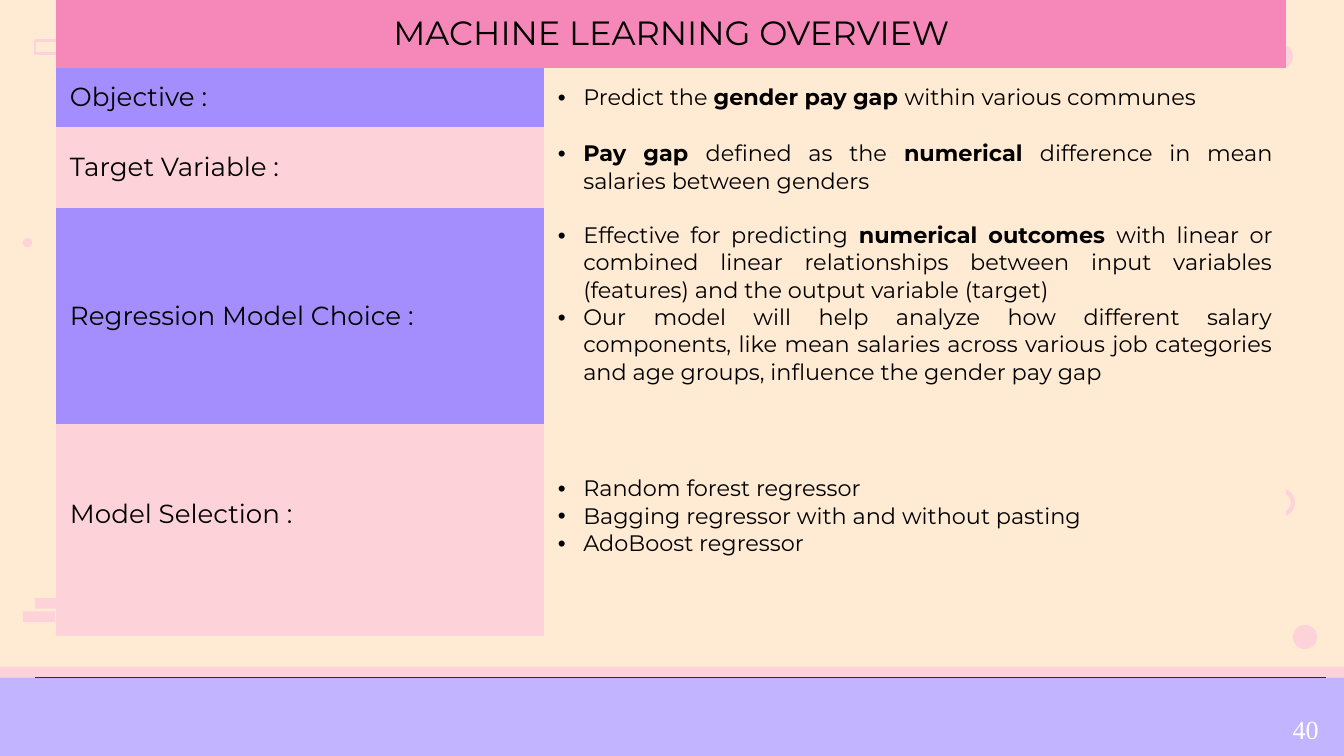
from pptx import Presentation
from pptx.dml.color import RGBColor
from pptx.enum.shapes import MSO_CONNECTOR, MSO_SHAPE
from pptx.enum.text import MSO_ANCHOR, PP_ALIGN
from pptx.oxml.ns import qn
from pptx.util import Inches, Pt
from lxml.etree import SubElement

FONT = "Montserrat"
CREAM, PINK, VIOLET, ROSE = "FFEAD3", "FDD3D9", "A48EFD", "F587B9"
NO_TABLE_STYLE = "{2D5ABB26-0587-4C30-8999-92F81FD0307C}"
COLUMN_WIDTHS = [3.63, 5.52]
ROW_HEIGHTS = [0.43, 0.38, 0.48, 1.27, 1.58]  # rows grow to fit their text
TABLE_HEIGHT = 4.72

# Label, its alignment, bullets, and extra bottom margin of label and bullets
TOPICS = [
    ("Objective :", PP_ALIGN.LEFT,
     ["Predict the **gender pay gap **within various communes"], 0, 0),
    ("Target Variable :", PP_ALIGN.JUSTIFY,
     ["**Pay gap **defined as the **numerical **difference in mean salaries "
      "between genders"], 0, 0),
    ("Regression Model Choice :", PP_ALIGN.JUSTIFY,
     ["Effective for predicting **numerical outcomes **with linear or combined "
      "linear relationships between input variables (features) and the output "
      "variable (target)",
      "Our model will help analyze how different salary components, like mean "
      "salaries across various job categories and age groups, influence the "
      "gender pay gap"], 0, 0.18),
    ("Model Selection :", PP_ALIGN.LEFT,
     ["Random forest regressor",
      "Bagging regressor with and without pasting",
      "AdoBoost regressor"], 0.24, 0.2),
]


def color(hex_value):
    return RGBColor.from_string(hex_value)


def paint(target, hex_value):
    target.fill.solid()
    target.fill.fore_color.rgb = color(hex_value)


def set_font(font, size, name=FONT, hex_value="000000"):
    font.size = Pt(size)
    font.name = name
    font.color.rgb = color(hex_value)


def add_decoration(slide, kind, left, top, width, height, fill=None, line_width=1.5):
    """Add a filled shape, or a pink outline when no fill is given."""
    shape = slide.shapes.add_shape(
        kind, Inches(left), Inches(top), Inches(width), Inches(height))
    shape.shadow.inherit = False
    if fill:
        paint(shape, fill)
        shape.line.fill.background()
    else:
        shape.fill.background()
        shape.line.color.rgb = color(PINK)
        shape.line.width = Pt(line_width)


def add_footer_rule(slide):
    rule = slide.shapes.add_connector(
        MSO_CONNECTOR.STRAIGHT, Inches(0.26), Inches(5.04), Inches(9.87), Inches(5.04))
    rule.line.color.rgb = color("382B26")
    rule.line.width = Pt(0.5)
    SubElement(rule._element.spPr, qn("a:effectLst"))


def add_backdrop(slide):
    paint(slide.background, "C2B4FE")
    box, dot = MSO_SHAPE.RECTANGLE, MSO_SHAPE.OVAL
    add_decoration(slide, box, 0, 0, 10, 5.04, CREAM)
    add_decoration(slide, box, 0, 4.96, 10, 0.08, PINK)
    add_footer_rule(slide)
    add_decoration(slide, box, 0.26, 4.45, 0.24, 0.08, PINK)
    add_decoration(slide, box, 0.17, 4.55, 0.24, 0.08, PINK)
    add_decoration(slide, box, 0.26, 0.3, 0.29, 0.1)
    add_decoration(slide, dot, 9.44, 3.65, 0.18, 0.18, line_width=2.25)
    for left, top, size in [(9.44, 0.33, 0.18), (9.62, 4.65, 0.18), (0.17, 1.77, 0.07)]:
        add_decoration(slide, dot, left, top, size, size, PINK)


def style_cell(cell, fill, extra_bottom=0):
    paint(cell, fill)
    cell.vertical_anchor = MSO_ANCHOR.MIDDLE
    cell.margin_left = cell.margin_right = cell.margin_top = Inches(0.1)
    cell.margin_bottom = Inches(0.1 + extra_bottom)


def fill_label(cell, label, size, alignment):
    cell.text_frame.text = label
    paragraph = cell.text_frame.paragraphs[0]
    paragraph.alignment = alignment
    set_font(paragraph.runs[0].font, size)


def add_bullet(paragraph):
    properties = paragraph._p.get_or_add_pPr()
    properties.set("marL", str(Inches(0.19)))
    properties.set("indent", str(-Inches(0.19)))
    bullet_color = SubElement(properties, qn("a:buClr"))
    SubElement(bullet_color, qn("a:srgbClr"), val="000000")
    SubElement(properties, qn("a:buFont"), typeface="Arial")
    SubElement(properties, qn("a:buChar"), char="•")


def fill_bullets(cell, bullets):
    """Write one bullet per item; ** switches bold on and off."""
    frame = cell.text_frame
    for index, bullet in enumerate(bullets):
        paragraph = frame.add_paragraph() if index else frame.paragraphs[0]
        add_bullet(paragraph)
        paragraph.alignment = PP_ALIGN.JUSTIFY
        for part, words in enumerate(bullet.split("**")):
            if words:
                run = paragraph.add_run()
                run.text = words
                set_font(run.font, 12)
                run.font.bold = part % 2 == 1


def add_overview_table(slide):
    frame = slide.shapes.add_table(
        len(ROW_HEIGHTS), len(COLUMN_WIDTHS), Inches(0.42), Inches(0),
        Inches(sum(COLUMN_WIDTHS)), Inches(TABLE_HEIGHT))
    table = frame.table
    table.first_row = table.horz_banding = False
    table._tbl.tblPr.find(qn("a:tableStyleId")).text = NO_TABLE_STYLE
    for column, width in zip(table.columns, COLUMN_WIDTHS):
        column.width = Inches(width)
    for row, height in zip(table.rows, ROW_HEIGHTS):
        row.height = Inches(height)

    title = table.cell(0, 0)
    title.merge(table.cell(0, 1))
    style_cell(title, ROSE)
    fill_label(title, "MACHINE LEARNING OVERVIEW", 18, PP_ALIGN.CENTER)

    for row, topic in enumerate(TOPICS, start=1):
        label, alignment, bullets, label_bottom, bullets_bottom = topic
        label_cell, bullets_cell = table.cell(row, 0), table.cell(row, 1)
        style_cell(label_cell, VIOLET if row % 2 else PINK, label_bottom)
        fill_label(label_cell, label, 14, alignment)
        style_cell(bullets_cell, CREAM, bullets_bottom)
        fill_bullets(bullets_cell, bullets)


def add_page_number(slide):
    number = slide.shapes.add_textbox(
        Inches(9.52), Inches(5.26), Inches(0.46), Inches(0.34))
    number.text_frame.word_wrap = False
    number.text_frame.text = "40"
    set_font(number.text_frame.paragraphs[0].runs[0].font, 14, "Times New Roman", "FFFFFF")


def main():
    deck = Presentation()
    deck.slide_width, deck.slide_height = Inches(10), Inches(10 * 9 / 16)
    slide = deck.slides.add_slide(deck.slide_layouts[6])
    add_backdrop(slide)
    add_overview_table(slide)
    add_page_number(slide)
    deck.save("out.pptx")


if __name__ == "__main__":
    main()
